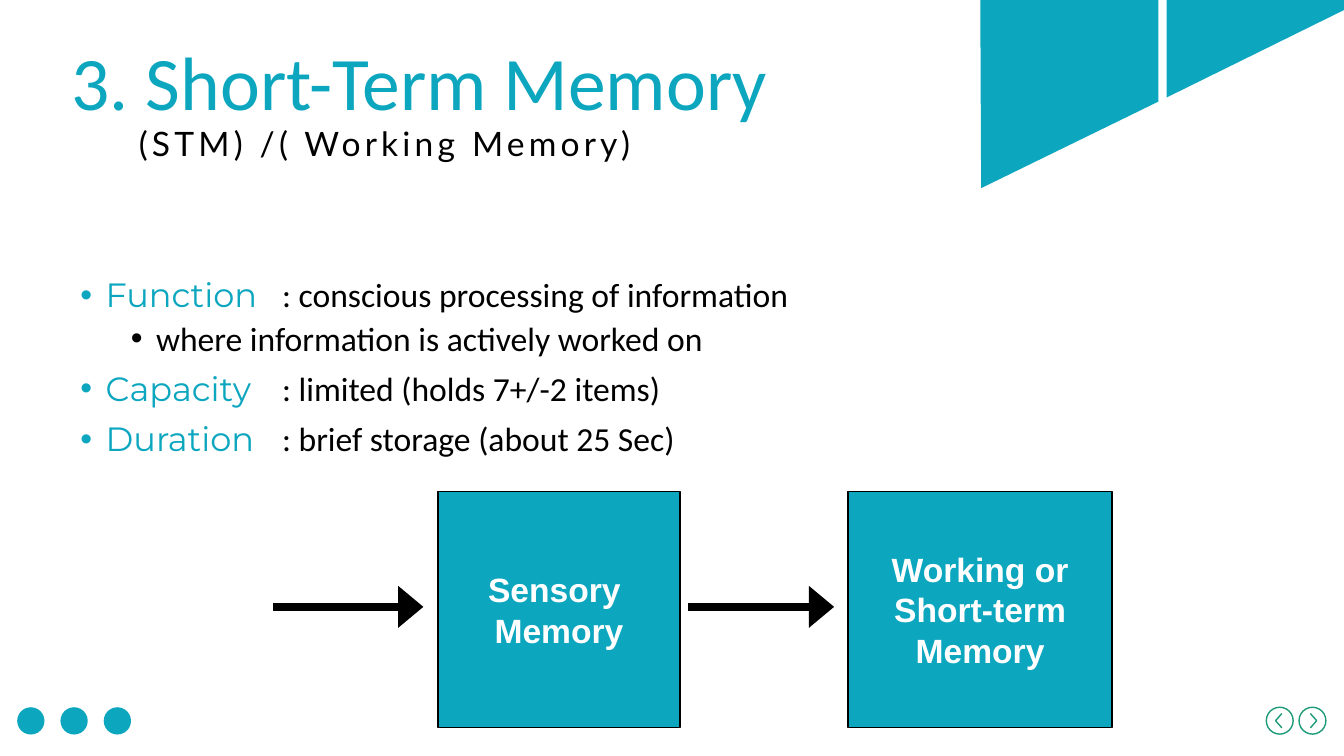
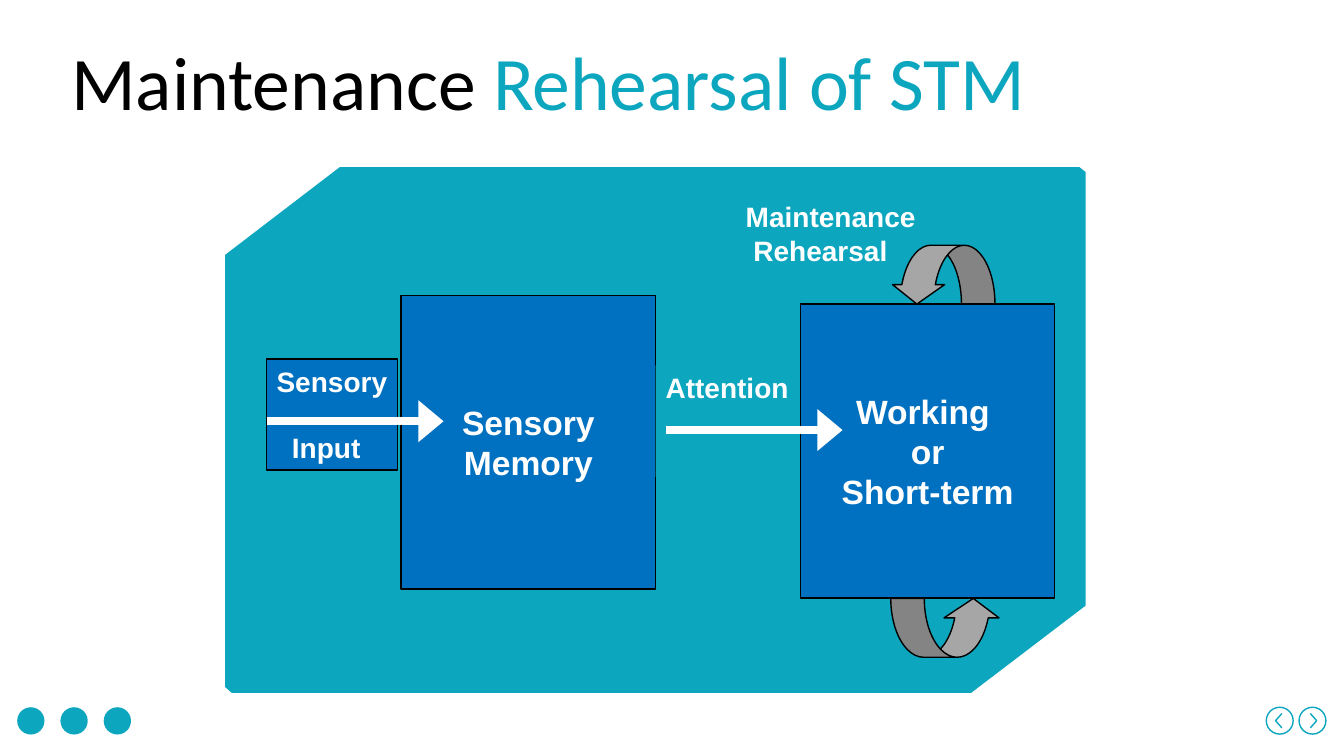
from dataclasses import dataclass

from lxml.etree import SubElement
from pptx import Presentation
from pptx.dml.color import RGBColor
from pptx.enum.shapes import MSO_CONNECTOR as Link, MSO_SHAPE as Kind
from pptx.enum.text import MSO_ANCHOR as Anchor, MSO_AUTO_SIZE as Fit, PP_ALIGN as Align
from pptx.oxml.ns import qn
from pptx.shapes.autoshape import Shape
from pptx.slide import Slide
from pptx.text.text import TextFrame
from pptx.util import Pt

TEAL = RGBColor(0x0C, 0xA6, 0xBF)
GREEN = RGBColor(0x1D, 0x9A, 0x78)
BLUE = RGBColor(0x00, 0x70, 0xC0)
GREY = RGBColor(0xA6, 0xA6, 0xA6)
BLACK = RGBColor(0, 0, 0)
WHITE = RGBColor(0xFF, 0xFF, 0xFF)

COLS, ROWS = 160, 90  # grid of square cells over the slide
CELL = Pt(6)
Spot = tuple[float, float]


@dataclass
class Area:
    """A place on the grid, in columns and rows."""
    x: float
    y: float
    w: float
    h: float

    def emu(self) -> tuple[int, ...]:
        return tuple(cells(v) for v in (self.x, self.y, self.w, self.h))


@dataclass
class Box:
    """A block in the memory diagram."""
    area: Area
    fill: RGBColor
    lines: list[str]


@dataclass
class Label:
    """Left-aligned lines; indent and gap, in points, apply to the last one."""
    area: Area
    lines: list[str]
    indent: float = 0
    gap: float = 0
    fill: RGBColor | None = None
    edge: RGBColor | None = None


@dataclass
class Arrow:
    start: float
    end: float
    row: float
    color: RGBColor


@dataclass
class Loop:
    """A curved arrow of the rehearsal cycle."""
    kind: Kind
    area: Area
    turn: float


@dataclass
class Point:
    """A bullet: an optional coloured term, then its text."""
    term: str
    text: str
    margin: float
    before: float


def cells(count: float) -> int:
    return round(count * CELL)


def paint(shape: Shape, fill: RGBColor | None, edge: RGBColor | None = None) -> None:
    shape.shadow.inherit = False
    if fill is None:
        shape.fill.background()
    else:
        shape.fill.solid()
        shape.fill.fore_color.rgb = fill
    if edge is None:
        shape.line.fill.background()
    else:
        shape.line.color.rgb = edge
        shape.line.width = Pt(1)


def trace(slide: Slide, *paths: list[Spot], closed: bool = True) -> Shape:
    """Draw straight sides through the spots of each path, as one shape."""
    grids = [[(cells(x), cells(y)) for x, y in path] for path in paths]
    pen = slide.shapes.build_freeform(*grids[0][0])
    for i, (first, *rest) in enumerate(grids):
        if i:
            pen.move_to(*first)
        pen.add_line_segments(rest, close=closed)
    return pen.convert_to_shape()


def write(frame: TextFrame, lines: list[str], size: float, align: Align) -> None:
    """Fill a frame with bold white Arial lines."""
    frame.word_wrap = True
    frame.text = "\n".join(lines)
    for para in frame.paragraphs:
        para.alignment = align
        font = para.font
        font.name, font.size, font.bold = "Arial", Pt(size), True
        font.color.rgb = WHITE


def add_box(slide: Slide, box: Box) -> None:
    shape = slide.shapes.add_shape(Kind.RECTANGLE, *box.area.emu())
    paint(shape, box.fill, BLACK)
    write(shape.text_frame, box.lines, 24, Align.CENTER)
    shape.text_frame.vertical_anchor = Anchor.MIDDLE


def add_label(slide: Slide, label: Label) -> None:
    shape = slide.shapes.add_shape(Kind.RECTANGLE, *label.area.emu())
    paint(shape, label.fill, label.edge)
    frame = shape.text_frame
    write(frame, label.lines, 20, Align.LEFT)
    frame.vertical_anchor = Anchor.TOP
    frame.margin_right = 0
    last = frame.paragraphs[-1]
    last.space_before = Pt(label.gap)
    last._p.get_or_add_pPr().set("marL", str(Pt(label.indent)))


def add_arrow(slide: Slide, arrow: Arrow) -> None:
    row = cells(arrow.row)
    line = slide.shapes.add_connector(
        Link.STRAIGHT, cells(arrow.start), row, cells(arrow.end), row)
    line.line.color.rgb = arrow.color
    line.line.width = Pt(6)
    SubElement(line.line._get_or_add_ln(), qn("a:tailEnd"), type="triangle", w="lg")
    SubElement(line._element.spPr, qn("a:effectLst"))


def add_loop(slide: Slide, loop: Loop) -> None:
    shape = slide.shapes.add_shape(loop.kind, *loop.area.emu())
    paint(shape, GREY, BLACK)
    shape.rotation = loop.turn
    for i, share in enumerate((0.57, 1.14, 0.33)):
        shape.adjustments[i] = share


def add_title(slide: Slide, width: float, runs: list[tuple[str, RGBColor]]) -> None:
    title = slide.shapes.title
    title.left, title.top, title.width, title.height = Area(7.3, 3.6, width, 12.2).emu()
    frame = title.text_frame
    frame.word_wrap, frame.auto_size = True, Fit.NONE
    frame.vertical_anchor = Anchor.TOP
    para = frame.paragraphs[0]
    para.alignment = Align.LEFT
    para.font.name, para.font.size = "Calibri", Pt(54)
    for text, color in runs:
        run = para.add_run()
        run.text = text
        run.font.color.rgb = color


def add_note(slide: Slide, area: Area, text: str) -> None:
    """Add the widely spaced line under the title."""
    frame = slide.shapes.add_textbox(*area.emu()).text_frame
    frame.word_wrap = True
    para = frame.paragraphs[0]
    para.font.name, para.font.size = "Lato", Pt(24)
    para.font.color.rgb = BLACK
    run = para.add_run()
    run.text = text
    run._r.get_or_add_rPr().set("spc", "300")


def add_points(slide: Slide, area: Area, points: list[Point]) -> None:
    frame = slide.shapes.add_textbox(*area.emu()).text_frame
    frame.word_wrap = True
    for i, point in enumerate(points):
        para = frame.add_paragraph() if i else frame.paragraphs[0]
        para.line_spacing, para.space_before = 0.9, Pt(point.before)
        para.font.size = Pt(24)
        props = para._p.get_or_add_pPr()
        props.set("marL", str(cells(point.margin)))
        props.set("indent", str(cells(-3)))
        mark = [SubElement(props, qn("a:buFont"), typeface="Arial"),
                SubElement(props, qn("a:buChar"), char="•")]
        for item in mark:
            props.find(qn("a:defRPr")).addprevious(item)
        parts = ((point.term, "Montserrat", TEAL), (point.text, "Calibri", BLACK))
        for text, name, color in parts:
            if text:
                run = para.add_run()
                run.text = text
                run.font.name = name
                run.font.color.rgb = color


def add_foot(slide: Slide, color: RGBColor) -> None:
    """Add three dots at the left and two round arrow marks at the right."""
    for i in range(3):
        area = Area(2.05 + i * 5.15, 84.2, 3.25, 3.25)
        paint(slide.shapes.add_shape(Kind.OVAL, *area.emu()), TEAL)
    mid = 85.8
    for center, way in ((152.35, -1), (156.25, 1)):
        area = Area(center - 1.6, mid - 1.6, 3.2, 3.2)
        paint(slide.shapes.add_shape(Kind.OVAL, *area.emu()), None, color)
        back, tip = center + -0.25 * way, center + 0.5 * way
        hook = [(back, mid - 0.85), (tip, mid), (back, mid + 0.85)]
        paint(trace(slide, hook, closed=False), None, color)


def short_term(slide: Slide) -> None:
    add_points(slide, Area(8.4, 32.6, 89.3, 33.1), [
        Point("Function \t", ": conscious processing of information", 3, 10),
        Point("", "where information is actively worked on", 9, 5),
        Point("Capacity\t", ": limited (holds 7+/-2 items)", 3, 10),
        Point("Duration\t", ": brief storage (about 25 Sec)", 3, 10),
    ])
    panes = ([(116.7, 0), (137.9, 0), (137.9, 12.1), (116.8, 22.4)],
             [(138.9, 0), (COLS, 0), (COLS, 1.2), (138.9, 11.6)])
    paint(trace(slide, *panes), TEAL)
    add_box(slide, Box(Area(100.95, 58.5, 31.45, 28.1), TEAL,
                       ["Working or", "Short-term", "Memory"]))
    add_box(slide, Box(Area(52.15, 58.5, 28.8, 28.1), TEAL, ["Sensory ", "Memory"]))
    for start, end in ((32.5, 50.4), (81.9, 99.3)):
        add_arrow(slide, Arrow(start, end, 72.25, BLACK))
    add_title(slide, 85.8, [("3. Short-Term Memory", TEAL)])
    add_note(slide, Area(15.35, 14, 64.3, 6), "(STM) /( Working Memory)")
    add_foot(slide, GREEN)


def rehearsal(slide: Slide) -> None:
    add_title(slide, 125.6, [("Maintenance ", BLACK), ("Rehearsal of STM", TEAL)])
    plate = [(26.8, 30.35), (40.45, 19.9), (128.5, 19.9), (129.25, 20.5),
             (129.25, 72.1), (115.6, 82.5), (27.6, 82.5), (26.8, 81.8)]
    paint(trace(slide, plate), TEAL)
    add_loop(slide, Loop(Kind.CURVED_RIGHT_ARROW, Area(108.75, 26.5, 7, 12.4), 90))
    add_loop(slide, Loop(Kind.CURVED_UP_ARROW, Area(106.05, 71.25, 13.1, 7), 0))
    add_label(slide, Label(Area(87.6, 23.2, 22.8, 9.2),
                           ["Maintenance", "Rehearsal"], indent=5.5))
    add_label(slide, Label(Area(31.75, 42.75, 15.6, 13.2), ["Sensory", "Input"],
                           indent=11, gap=23.5, fill=BLUE, edge=BLACK))
    add_box(slide, Box(Area(47.75, 35.15, 30.3, 35), BLUE, ["Sensory", "Memory"]))
    add_arrow(slide, Arrow(31.75, 52.8, 50.15, WHITE))
    add_label(slide, Label(Area(78.05, 43.5, 17.2, 13.3), ["Attention"], fill=TEAL))
    add_box(slide, Box(Area(95.3, 36.2, 30.25, 35), BLUE,
                       ["Working ", "or", "Short-term"]))
    add_arrow(slide, Arrow(79.3, 100.3, 51.2, WHITE))
    add_foot(slide, TEAL)


def main() -> None:
    deck = Presentation()
    deck.slide_width, deck.slide_height = cells(COLS), cells(ROWS)
    for draw in (short_term, rehearsal):
        draw(deck.slides.add_slide(deck.slide_layouts[5]))
    deck.save("out.pptx")


if __name__ == "__main__":
    main()
